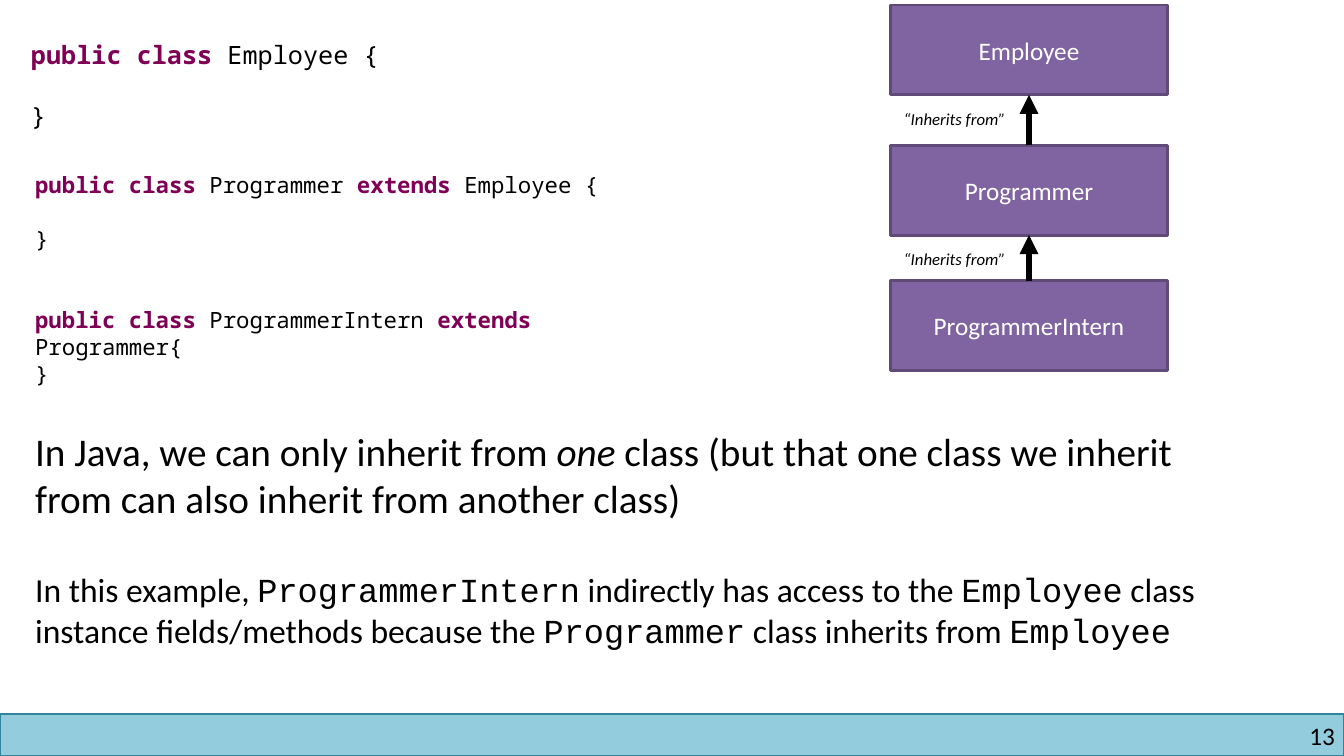
"""Build a slide about chained class inheritance in Java."""
import lxml.etree
import pptx
import pptx.dml.color
import pptx.enum.shapes
import pptx.enum.text
import pptx.oxml.ns
import pptx.util

SLIDE_WIDTH = pptx.util.Inches(13.33)
SLIDE_HEIGHT = pptx.util.Inches(7.5)
COLUMNS, ROWS = 160, 90

BLACK = pptx.dml.color.RGBColor(0x00, 0x00, 0x00)
WHITE = pptx.dml.color.RGBColor(0xFF, 0xFF, 0xFF)
KEYWORD = pptx.dml.color.RGBColor(0x7F, 0x00, 0x55)
PURPLE = pptx.dml.color.RGBColor(0x80, 0x64, 0xA2)
DARK_PURPLE = pptx.dml.color.RGBColor(0x5F, 0x4A, 0x78)
AQUA = pptx.dml.color.RGBColor(0x93, 0xCD, 0xDD)
DARK_AQUA = pptx.dml.color.RGBColor(0x31, 0x85, 0x9C)

BODY_FONT = "Calibri"
INLINE_CODE_FONT = "Courier New"
CODE_FONT = "Noto Sans Mono"

CLASS_LEFT, CLASS_WIDTH, CLASS_HEIGHT = 106, 33, 10.7
CLASS_ROWS = {"Employee": 0.6, "Programmer": 17.3, "ProgrammerIntern": 33.4}


def place(left, top, width, height):
    """Turn grid columns and rows into slide lengths."""
    column, row = SLIDE_WIDTH / COLUMNS, SLIDE_HEIGHT / ROWS
    return (round(left * column), round(top * row),
            round(width * column), round(height * row))


def set_font(font, size, name=BODY_FONT, color=BLACK):
    """Set the size, typeface and colour of a font."""
    font.size = pptx.util.Pt(size)
    font.name = name
    font.color.rgb = color


def add_text(page, area, margin=0.1):
    """Add a wrapping text box and return its text frame."""
    frame = page.shapes.add_textbox(*place(*area)).text_frame
    frame.word_wrap = True
    frame.margin_left = frame.margin_right = pptx.util.Inches(margin)
    frame.margin_top = frame.margin_bottom = pptx.util.Inches(margin / 2)
    return frame


def next_paragraph(frame, gap):
    """Return the empty first paragraph, or a new one after a gap."""
    if not frame.paragraphs[0].runs:
        return frame.paragraphs[0]
    para = frame.add_paragraph()
    para.space_before = pptx.util.Pt(gap)
    return para


def add_code(page, area, size, lines):
    """Add code lines whose odd-numbered pieces are keywords."""
    frame = add_text(page, area)
    for gap, pieces in lines:
        para = next_paragraph(frame, gap)
        set_font(para.font, size, CODE_FONT)
        for index, piece in enumerate(pieces):
            span = para.add_run()
            span.text = piece
            if len(pieces) > 1 and index % 2 == 0:
                span.font.bold = True
                span.font.color.rgb = KEYWORD


def add_prose(page, area, paragraphs):
    """Add paragraphs whose every second piece is emphasised."""
    frame = add_text(page, area)
    for gap, size, emphasis, pieces in paragraphs:
        para = next_paragraph(frame, gap)
        set_font(para.font, size)
        for index, piece in enumerate(pieces):
            span = para.add_run()
            span.text = piece
            if index % 2 and emphasis == "italic":
                span.font.italic = True
            elif index % 2:
                span.font.name = INLINE_CODE_FONT


def add_rectangle(page, area, fill, outline, weight):
    """Add a filled rectangle with an outline."""
    box = page.shapes.add_shape(
        pptx.enum.shapes.MSO_SHAPE.RECTANGLE, *place(*area))
    box.shadow.inherit = False
    box.fill.solid()
    box.fill.fore_color.rgb = fill
    box.line.color.rgb = outline
    box.line.width = pptx.util.Pt(weight)
    return box


def add_class(page, name, top):
    """Add a named class box to the diagram."""
    box = add_rectangle(page, (CLASS_LEFT, top, CLASS_WIDTH, CLASS_HEIGHT),
                        PURPLE, DARK_PURPLE, 2)
    box.text_frame.vertical_anchor = pptx.enum.text.MSO_ANCHOR.MIDDLE
    para = box.text_frame.paragraphs[0]
    para.text = name
    para.alignment = pptx.enum.text.PP_ALIGN.CENTER
    set_font(para.font, 18, color=WHITE)
    return box


def add_inheritance(page, child, parent):
    """Add an arrow from the top of a child to the bottom of its parent."""
    arrow = page.shapes.add_connector(
        pptx.enum.shapes.MSO_CONNECTOR.STRAIGHT, 0, 0, 0, 0)
    arrow.begin_connect(child, 0)
    arrow.end_connect(parent, 2)
    arrow.line.color.rgb = BLACK
    arrow.line.width = pptx.util.Pt(4.5)
    qualify = pptx.oxml.ns.qn
    lxml.etree.SubElement(arrow.line._get_or_add_ln(),
                          qualify("a:tailEnd"), type="triangle")
    lxml.etree.SubElement(arrow._element.spPr, qualify("a:effectLst"))


def add_label(page, top):
    """Add the caption beside an inheritance arrow."""
    para = add_text(page, (106.4, top, 15, 3.6)).paragraphs[0]
    para.text = "“Inherits from”"
    set_font(para.font, 12)
    para.font.italic = True


def add_footer(page, number):
    """Add the footer band and the slide number."""
    add_rectangle(page, (0, 85, COLUMNS, 5), AQUA, DARK_AQUA, 1)
    para = add_text(page, (122, 85.8, 36.9, 3.6), margin=0).paragraphs[0]
    para.text = number
    para.alignment = pptx.enum.text.PP_ALIGN.RIGHT
    set_font(para.font, 18)


def main():
    """Build and save the slide."""
    deck = pptx.Presentation()
    deck.slide_width, deck.slide_height = SLIDE_WIDTH, SLIDE_HEIGHT
    page = deck.slides.add_slide(deck.slide_layouts[6])
    add_footer(page, "13")
    add_code(page, (3, 19.8, 74.5, 31.1), 16, [
        (0, ["public class", " Programmer ", "extends ", "Employee {"]),
        (19.4, ["}"]),
        (38.8, ["public class ", "ProgrammerIntern ", "extends",
                " Programmer{"]),
        (0, ["}"]),
    ])
    add_code(page, (2.5, 4.1, 76.5, 12.1), 18, [
        (0, ["public class", " Employee {"]),
        (22, ["}"]),
    ])
    add_prose(page, (3, 50.3, 146, 32.8), [
        (0, 28, "italic", [
            "In Java, we can only inherit from ", "one",
            " class (but that one class we inherit from can also inherit "
            "from another class)"]),
        (34, 24, "code", [
            "In this example, ", "ProgrammerIntern",
            " indirectly has access to the ", "Employee",
            " class instance fields/methods because the ", "Programmer",
            " class inherits from ", "Employee"]),
    ])
    boxes = [add_class(page, name, top) for name, top in CLASS_ROWS.items()]
    for parent, child in zip(boxes, boxes[1:]):
        add_inheritance(page, child, parent)
    for top in list(CLASS_ROWS.values())[:-1]:
        add_label(page, top + CLASS_HEIGHT + 1)
    deck.save("out.pptx")


if __name__ == "__main__":
    main()
